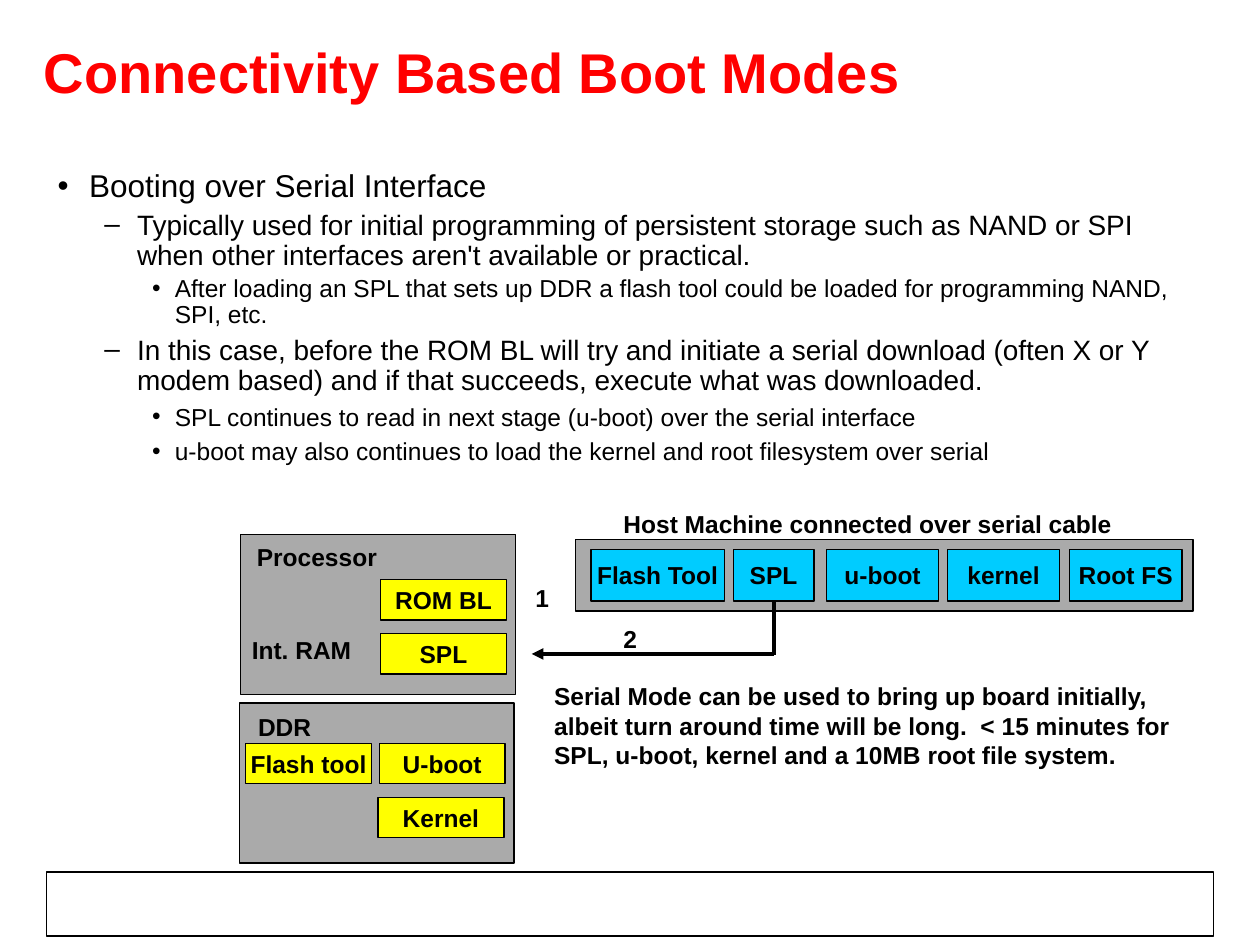
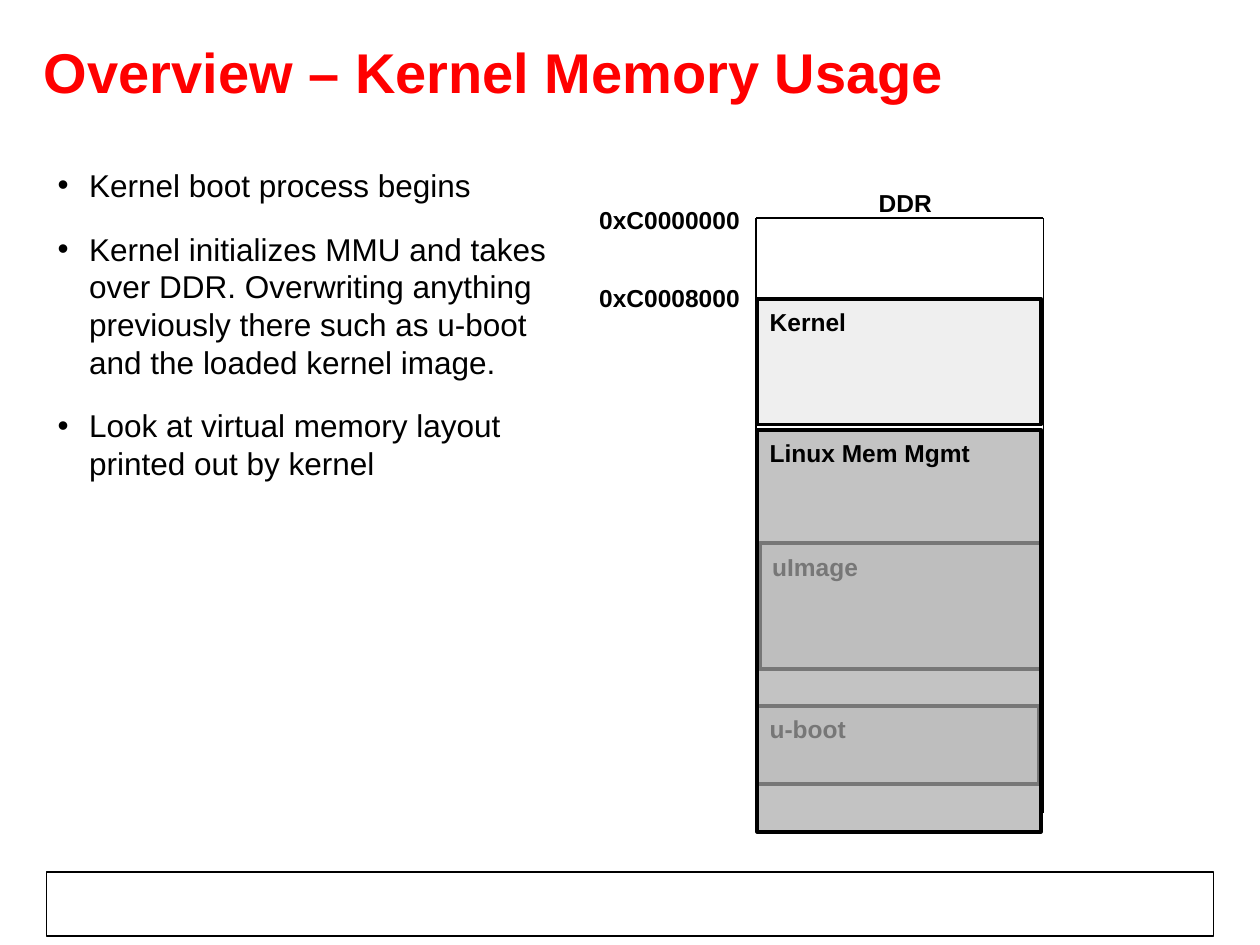
from lxml import etree
from pptx import Presentation
from pptx.dml.color import RGBColor
from pptx.enum.shapes import MSO_CONNECTOR, MSO_SHAPE
from pptx.enum.text import MSO_ANCHOR, PP_ALIGN
from pptx.oxml.ns import qn
from pptx.util import Inches, Pt

RECT = MSO_SHAPE.RECTANGLE
LINE = MSO_CONNECTOR.STRAIGHT
LEFT, MID, RIGHT = PP_ALIGN.LEFT, PP_ALIGN.CENTER, PP_ALIGN.RIGHT
TOP, CENTER = MSO_ANCHOR.TOP, MSO_ANCHOR.MIDDLE

FONT = "Arial"
INK = {"title": "FF0000", "text": "000000", "panel": "AAAAAA",
       "host": "00CCFF", "board": "FFFF00"}

# Bullet levels: mark, left margin, hanging indent, size
LEVELS = [("•", 0.25, 0.25, 18), ("–", 0.63, 0.26, 16), ("•", 0.93, 0.18, 14)]


def write(shape, text, size=14, bold=True, color="text", align=LEFT,
          anchor=TOP, wrap=True, top=0.05):
    frame = shape.text_frame
    frame.word_wrap = wrap
    frame.vertical_anchor = anchor
    frame.margin_top = Inches(top)
    para = frame.paragraphs[0]
    para.text = text
    para.alignment = align
    para.font.name = FONT
    para.font.size = Pt(size)
    para.font.bold = bold
    para.font.color.rgb = RGBColor.from_string(INK[color])
    return para


def block(slide, box, fill=None, weight=0.75, alpha=None):
    shape = slide.shapes.add_shape(RECT, *map(Inches, box))
    shape.shadow.inherit = False
    shape.line.color.rgb = RGBColor.from_string(INK["text"])
    shape.line.width = Pt(weight)
    if fill is None:
        shape.fill.background()
    else:
        shape.fill.solid()
        shape.fill.fore_color.rgb = RGBColor.from_string(INK[fill])
    if alpha:
        tint = shape.fill._xPr.find(".//" + qn("a:srgbClr"))
        etree.SubElement(tint, qn("a:alpha"), val=str(alpha * 1000))
    return shape


deck = Presentation()
deck.slide_width, deck.slide_height = Inches(10), Inches(7.5)

# Content: title, body box, then level, line spacing, space before, text
pages = [
    ("Connectivity Based Boot Modes", (0.36, 1.3, 9.26, 2.85), [
        (0, 0.9, 0, "Booting over Serial Interface"),
        (1, 0.9, 4, "Typically used for initial programming of persistent "
         "storage such as NAND or SPI when other interfaces aren't available "
         "or practical."),
        (2, 0.9, 2.6, "After loading an SPL that sets up DDR a flash tool "
         "could be loaded for programming NAND, SPI, etc."),
        (1, 0.9, 4, "In this case, before the ROM BL will try and initiate a "
         "serial download (often X or Y modem based) and if that succeeds, "
         "execute what was downloaded."),
        (2, 1, 3, "SPL continues to read in next stage (u-boot) over the "
         "serial interface"),
        (2, 1, 3, "u-boot may also continues to load the kernel and root "
         "filesystem over serial"),
    ]),
    ("Overview – Kernel Memory Usage", (0.36, 1.27, 4.26, 4.64), [
        (0, 1, 0, "Kernel boot process begins"),
        (0, 1, 14.6, "Kernel initializes MMU and takes over DDR. Overwriting "
         "anything previously there such as u-boot and the loaded kernel "
         "image."),
        (0, 1, 14.6, "Look at virtual memory layout printed out by kernel"),
    ]),
]

# Shared parts: footer frame, title, bullets
slides = []
for title, box, items in pages:
    slide = deck.slides.add_slide(deck.slide_layouts[6])
    slides.append(slide)
    block(slide, (0.37, 6.92, 9.26, 0.51))
    head = slide.shapes.add_textbox(*map(Inches, (0.25, 0.16, 9.25, 0.89)))
    write(head, title, 32, color="title", anchor=CENTER).line_spacing = 0.85

    body = slide.shapes.add_textbox(*map(Inches, box)).text_frame
    body.word_wrap = True
    for i, (level, lead, gap, text) in enumerate(items):
        para = body.add_paragraph() if i else body.paragraphs[0]
        mark, margin, hang, size = LEVELS[level]
        para.text = text
        para.level = level
        para.line_spacing = lead
        para.space_before = Pt(gap)
        props = para._p.get_or_add_pPr()
        props.set("marL", str(Inches(margin)))
        props.set("indent", str(-Inches(hang)))
        tone = etree.SubElement(props, qn("a:buClr"))
        etree.SubElement(tone, qn("a:srgbClr"), val=INK["text"])
        etree.SubElement(props, qn("a:buFont"), typeface=FONT)
        etree.SubElement(props, qn("a:buChar"), char=mark)
        para.font.name = FONT
        para.font.size = Pt(size)
        para.font.color.rgb = RGBColor.from_string(INK["text"])
boot, memory = slides

# Boot slide: host, processor and DDR panels
for box in [(4.57, 4.28, 4.9, 0.57), (1.91, 4.24, 2.18, 1.27),
            (1.9, 5.58, 2.18, 1.27)]:
    block(boot, box, "panel")

# Boot slide: images on the host and on the board
parts = {}
for text, x, y, width, height, fill in [
        ("Flash Tool", 4.69, 4.36, 1.06, 0.41, "host"),
        ("SPL", 5.82, 4.36, 0.64, 0.41, "host"),
        ("u-boot", 6.56, 4.36, 0.89, 0.41, "host"),
        ("kernel", 7.52, 4.36, 0.89, 0.41, "host"),
        ("Root FS", 8.49, 4.36, 0.89, 0.41, "host"),
        ("ROM BL", 3.02, 4.6, 1, 0.32, "board"),
        ("SPL", 3.02, 5.03, 1, 0.32, "board"),
        ("Flash tool", 1.95, 5.9, 1, 0.32, "board"),
        ("U-boot", 3.01, 5.9, 1, 0.32, "board"),
        ("Kernel", 3, 6.33, 1, 0.32, "board")]:
    part = block(boot, (x, y, width, height), fill)
    write(part, text, align=MID, anchor=CENTER, wrap=False)
    parts[fill, text] = part

# Labels of both slides, each box wider than its longest line
for slide, text, x, y, width, height, align in [
        (boot, "Host Machine connected over serial cable",
         4.85, 3.99, 4.3, 0.34, LEFT),
        (boot, "Processor", 1.94, 4.25, 1.4, 0.34, LEFT),
        (boot, "Int. RAM", 1.9, 4.99, 1.1, 0.34, LEFT),
        (boot, "DDR", 1.95, 5.6, 0.8, 0.34, LEFT),
        (boot, "1", 4.15, 4.58, 0.4, 0.34, LEFT),
        (boot, "2", 4.85, 4.9, 0.4, 0.34, LEFT),
        (boot, "Serial Mode can be used to bring up board initially, albeit "
         "turn around time will be long.  < 15 minutes for SPL, u-boot, "
         "kernel and a 10MB root file system.",
         4.3, 5.36, 5.44, 0.8, LEFT),
        (memory, "DDR", 6.51, 1.44, 1.35, 0.34, MID),
        (memory, "0xC0000000", 4.62, 1.58, 1.35, 0.34, RIGHT),
        (memory, "0xC0008000", 4.62, 2.2, 1.35, 0.34, RIGHT)]:
    label = slide.shapes.add_textbox(*map(Inches, (x, y, width, height)))
    write(label, text, align=align)

# Memory slide: images left in DDR, later covered by the kernel's memory
for text, box in [("u-boot", (6.01, 5.6, 2.24, 0.62)),
                  ("uImage", (6.03, 4.31, 2.24, 1)),
                  ("Kernel", (6.01, 2.37, 2.25, 1))]:
    write(block(memory, box, "panel", 2.25, 19), text, top=0.07)

# Lines: download path, then the DDR outline
links = []
for slide, x1, y1, x2, y2, weight in [
        (boot, 6.14, 4.77, 6.14, 5.2, 2.25),
        (boot, 6.14, 5.19, 4.22, 5.19, 2.25),
        (memory, 6, 1.73, 6, 6.45, 0.75),
        (memory, 8.28, 1.73, 8.28, 6.45, 0.75),
        (memory, 8.28, 1.73, 6, 1.73, 0.75)]:
    link = slide.shapes.add_connector(LINE, *map(Inches, (x1, y1, x2, y2)))
    link.line.color.rgb = RGBColor.from_string(INK["text"])
    link.line.width = Pt(weight)
    etree.SubElement(link._element.spPr, qn("a:effectLst"))
    links.append(link)
links[0].begin_connect(parts["host", "SPL"], 2)
etree.SubElement(links[1].line._get_or_add_ln(), qn("a:tailEnd"),
                 type="triangle")

# Memory slide: managed memory on top
managed = block(memory, (6.01, 3.41, 2.25, 3.19), "panel", 2.25, 70)
write(managed, "Linux Mem Mgmt", top=0.07)

deck.save("out.pptx")
